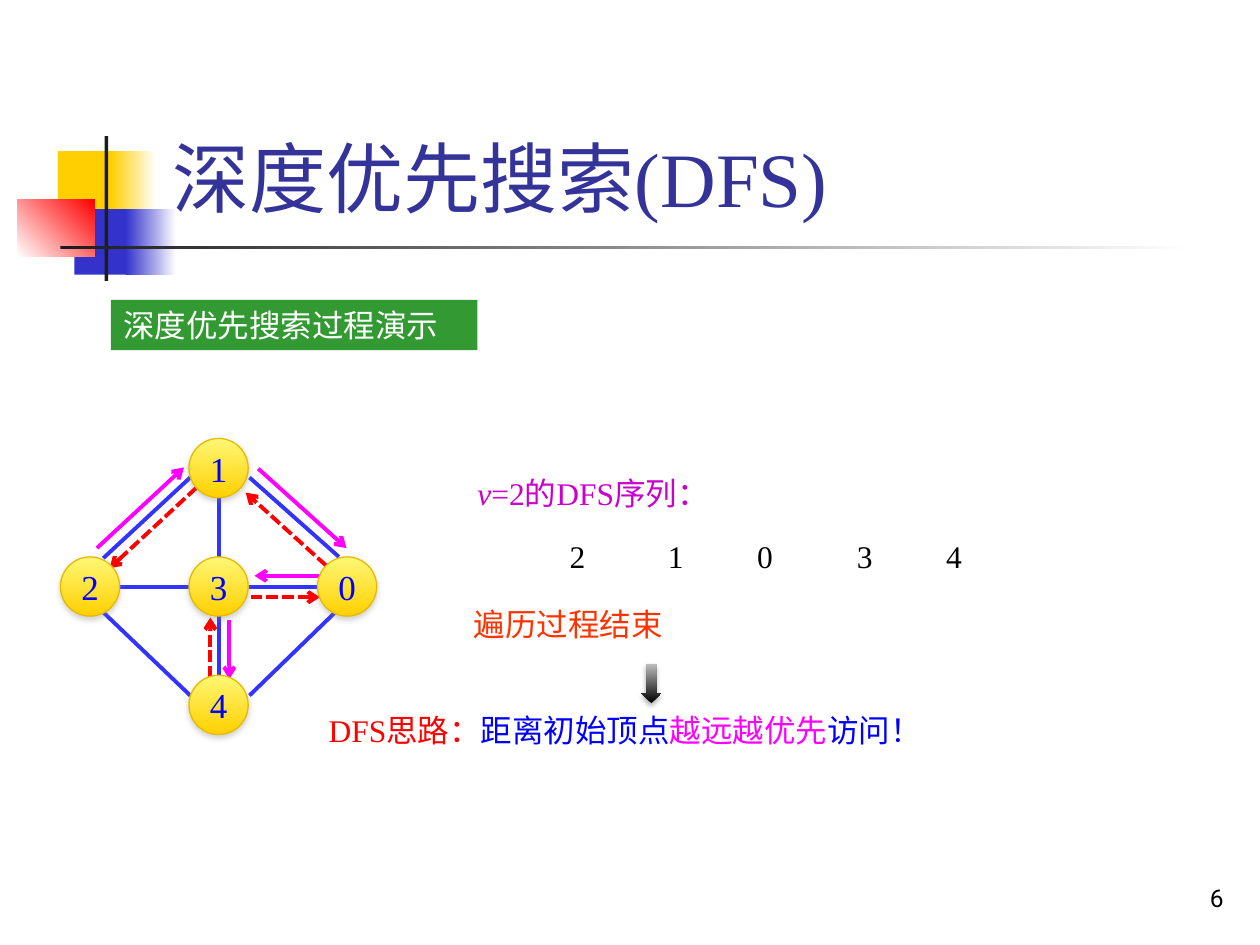
from pptx import Presentation
from pptx.dml.color import RGBColor
from pptx.enum.dml import MSO_LINE
from pptx.enum.shapes import MSO_CONNECTOR, MSO_SHAPE
from pptx.enum.text import MSO_ANCHOR, PP_ALIGN
from pptx.oxml import parse_xml
from pptx.oxml.ns import nsdecls, qn
from pptx.util import Inches, Pt

COLORS = {
    "white": "FFFFFF", "black": "000000", "ink": "1C1C1C", "gold": "FFCF01",
    "indigo": "3333CC", "title": "333399", "red": "FF0000", "green": "339933",
    "edge": "3333FF", "blue": "0000FF", "magenta": "FF00FF", "purple": "CC00CC",
    "orange": "FF3300", "node_top": "FFF776", "node_bottom": "FFD000",
    "node_line": "E7BA00", "gray": "BDBDBD", "shadow": "808080",
}
LATIN, CJK = "Times New Roman", "Noto Sans CJK SC"


def rgb(name):
    return RGBColor.from_string(COLORS[name])


def write_text(s, text, size=18, color="black", font=LATIN, align=PP_ALIGN.LEFT,
               anchor=MSO_ANCHOR.TOP, wrap=True, inset=None):
    """Write a string, or a list of (string, color, italic) runs, into a shape."""
    tf = s.text_frame
    tf.word_wrap = wrap
    tf.vertical_anchor = anchor
    if inset is not None:
        tf.margin_left = tf.margin_right = Inches(inset)
        tf.margin_top = tf.margin_bottom = Inches(inset)
    p = tf.paragraphs[0]
    p.alignment = align
    runs = [(text, color, False)] if isinstance(text, str) else text
    for content, run_color, italic in runs:
        r = p.add_run()
        r.text = content
        r.font.size = Pt(size)
        r.font.name = font
        r.font.italic = italic
        r.font.color.rgb = rgb(run_color)
        ea = parse_xml(f'<a:ea {nsdecls("a")} typeface="{CJK}"/>')
        r.font._element.find(qn("a:latin")).addnext(ea)


class SlideBuilder:
    """Hold the slide and draw its kinds of element."""

    def __init__(self, prs):
        self.slide = prs.slides.add_slide(prs.slide_layouts[6])

    def shape(self, box, fill, kind=MSO_SHAPE.RECTANGLE, angle=0, line=None, shadow=None):
        s = self.slide.shapes.add_shape(kind, *map(Inches, box))
        s.shadow.inherit = False
        if isinstance(fill, str):
            s.fill.solid()
            s.fill.fore_color.rgb = rgb(fill)
        else:
            s.fill.gradient()
            s.fill.gradient_angle = angle
            for stop, name, position in zip(s.fill.gradient_stops, fill, (0, 1)):
                stop.color.rgb = rgb(name)
                stop.position = position
        if line:
            s.line.color.rgb = rgb(line)
            s.line.width = Pt(0.75)
        else:
            s.line.fill.background()
        if shadow:
            s._element.spPr.find(qn("a:effectLst")).append(parse_xml(
                f'<a:outerShdw {nsdecls("a")} blurRad="40000" dist="23000" dir="5400000" '
                f'rotWithShape="0"><a:srgbClr val="{COLORS[shadow]}">'
                '<a:alpha val="35000"/></a:srgbClr></a:outerShdw>'))
        return s

    def text(self, box, text, **style):
        s = self.slide.shapes.add_textbox(*map(Inches, box))
        write_text(s, text, **style)

    def line(self, start, end, color, arrow=False, dashed=False):
        s = self.slide.shapes.add_connector(
            MSO_CONNECTOR.STRAIGHT, *map(Inches, start + end))
        s.line.color.rgb = rgb(color)
        s.line.width = Pt(2.25)
        if dashed:
            s.line.dash_style = MSO_LINE.SQUARE_DOT
        if arrow:
            s.line._get_or_add_ln().append(
                parse_xml(f'<a:tailEnd {nsdecls("a")} type="arrow"/>'))
        s._element.spPr.append(parse_xml(f'<a:effectLst {nsdecls("a")}/>'))

    def node(self, label, col, row):
        box = (0.48 + 1.02 * col, 3.48 + 0.94 * row, 0.47, 0.47)
        s = self.shape(box, ("node_top", "node_bottom"), MSO_SHAPE.OVAL,
                       angle=270, line="node_line", shadow="shadow")
        write_text(s, label, size=20, color="blue", align=PP_ALIGN.CENTER,
                   anchor=MSO_ANCHOR.MIDDLE, wrap=False, inset=0)


def draw_header(sb):
    sb.shape((0.46, 1.2, 0.48, 0.52), "gold")
    sb.shape((0.88, 1.2, 0.36, 0.52), ("gold", "white"))
    sb.shape((0.59, 1.66, 0.46, 0.52), "indigo")
    sb.shape((1, 1.66, 0.4, 0.52), ("indigo", "white"))
    sb.shape((0.14, 1.58, 0.61, 0.46), ("white", "red"), angle=45)
    sb.shape((0.83, 1.08, 0.03, 1.15), "ink")
    sb.shape((0.48, 1.95, 9, 0.03), ("ink", "white"))
    sb.text((1.27, 0.99, 8.52, 1.6), "深度优先搜索(DFS)", size=44, color="title")
    banner = sb.shape((0.88, 2.38, 2.91, 0.4), "green")
    write_text(banner, "深度优先搜索过程演示", color="white")


def draw_graph(sb):
    edges = [
        ((0.82, 4.43), (1.51, 3.79)), ((0.95, 4.66), (1.51, 4.66)),
        ((1.98, 4.66), (2.53, 4.66)), ((0.82, 4.86), (1.51, 5.52)),
        ((1.98, 3.79), (2.69, 4.42)), ((1.98, 5.52), (2.66, 4.86)),
        ((1.74, 4.89), (1.74, 5.36)), ((1.74, 3.95), (1.74, 4.42)),
    ]
    visits = [
        ((0.77, 4.35), (1.46, 3.71)), ((2.05, 3.72), (2.75, 4.35)),
        ((2.57, 4.57), (2.02, 4.57)), ((1.82, 4.92), (1.82, 5.39)),
    ]
    returns = [
        ((1.67, 5.38), (1.67, 4.9)), ((1.99, 4.74), (2.54, 4.74)),
        ((2.59, 4.49), (1.95, 3.91)), ((1.56, 3.87), (0.87, 4.51)),
    ]
    for start, end in edges:
        sb.line(start, end, "edge")
    for start, end in visits:
        sb.line(start, end, "magenta", arrow=True)
    for start, end in returns:
        sb.line(start, end, "red", arrow=True, dashed=True)
    for label, col, row in [("3", 1, 1), ("2", 0, 1), ("0", 2, 1), ("1", 1, 0), ("4", 1, 2)]:
        sb.node(label, col, row)


def draw_result(sb):
    sb.text((3.69, 3.71, 2.6, 0.5),
            [("v", "purple", True), ("=2的DFS序列：", "purple", False)])
    for label, left in zip("21034", (4.52, 5.3, 6.01, 6.8, 7.51)):
        sb.text((left, 4.26, 0.32, 0.4), label, inset=0)
    sb.text((3.76, 4.8, 2.6, 0.4), "遍历过程结束", color="orange", inset=0)
    sb.text((2.51, 5.59, 6.95, 0.51), [
        ("DFS思路：", "red", False), ("距离初始顶点", "blue", False),
        ("越远越优先", "magenta", False), ("访问！", "blue", False)])
    sb.shape((5.09, 5.27, 0.16, 0.31), ("black", "gray"), MSO_SHAPE.DOWN_ARROW,
             angle=90, shadow="black")
    sb.text((7.73, 6.79, 2.08, 0.5), "6", size=14, font="Roboto",
            align=PP_ALIGN.RIGHT, anchor=MSO_ANCHOR.BOTTOM)


def main():
    prs = Presentation()
    prs.slide_width, prs.slide_height = Inches(10), Inches(7.5)
    sb = SlideBuilder(prs)
    draw_header(sb)
    draw_graph(sb)
    draw_result(sb)
    prs.save("out.pptx")


if __name__ == "__main__":
    main()
